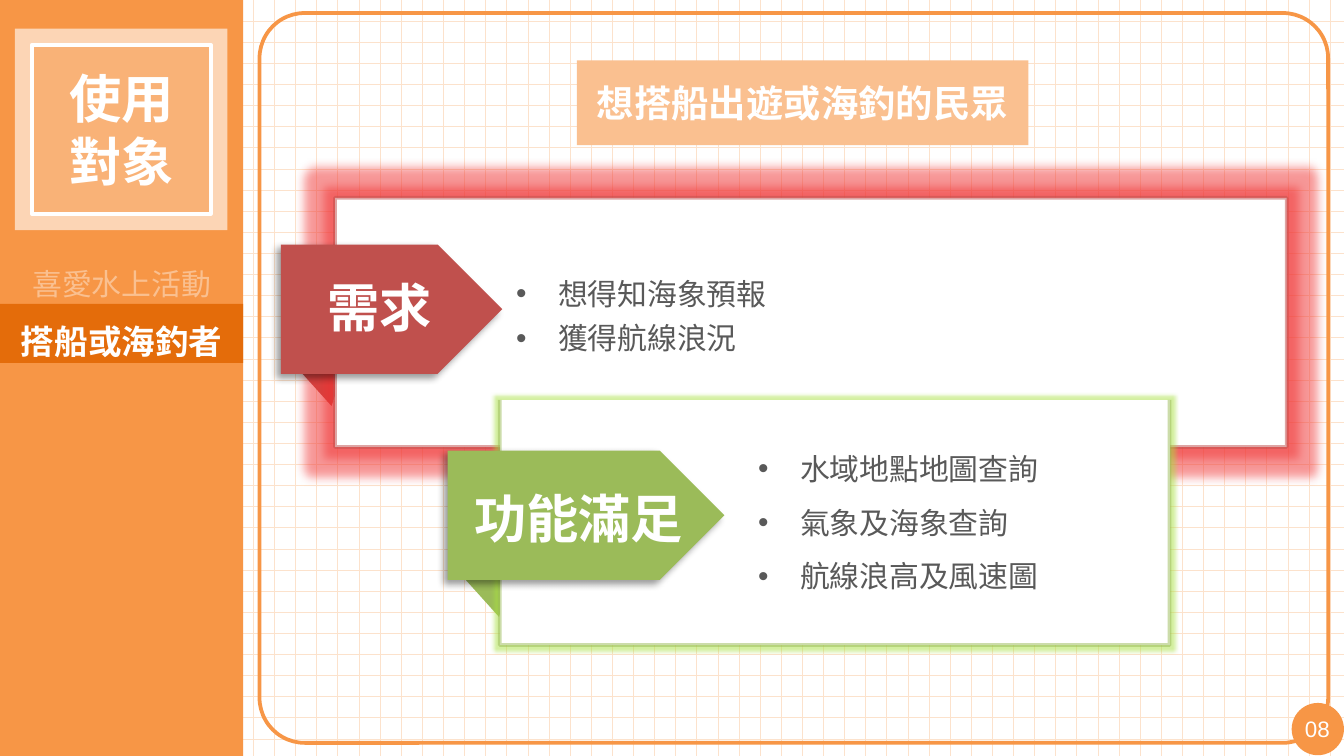
from pptx import Presentation
from pptx import util as u
from pptx.dml.color import RGBColor
from pptx.enum import dml, shapes, text
from pptx.oxml import parse_xml
from pptx.oxml.ns import qn, nsdecls
from lxml import etree

Pt = u.Pt
KIND = shapes.MSO_SHAPE
ALIGN = text.PP_ALIGN
CJK = "Noto Sans CJK SC"
COLORS = {
    "white": "FFFFFF", "grid": "FCE2CC", "orange": "F79646", "dark": "E46C0A",
    "peach": "FCD5B5", "soft": "F9B277", "light": "FAC090", "gray": "595959",
    "red": "C0504D", "green": "9BBB59", "red glow": "F03030", "green glow": "A8E040",
}


def add_block(kind, place, fill=None, line=None):
    block = page.shapes.add_shape(kind, *map(Pt, place))
    block.shadow.inherit = False
    if fill:
        block.fill.solid()
        block.fill.fore_color.rgb = RGBColor.from_string(COLORS[fill])
    else:
        block.fill.background()
    if line:
        block.line.color.rgb = RGBColor.from_string(COLORS[line])
        block.line.width = Pt(2)
    else:
        block.line.fill.background()
    return block


def write(box, lines, size, color="white", font="Arial", bold=True,
          align=ALIGN.CENTER, spacing=1.0):
    frame = box.text_frame
    frame.word_wrap = True
    frame.auto_size = text.MSO_AUTO_SIZE.NONE
    frame.text = "\n".join(lines)
    for para in frame.paragraphs:
        para.alignment = align
        para.line_spacing = spacing
        para.space_before = Pt(0)
        para.font.name = font
        para.font.size = Pt(size)
        para.font.bold = bold
        para.font.color.rgb = RGBColor.from_string(COLORS[color])
        defaults = para._p.pPr.find(qn("a:defRPr"))
        etree.SubElement(defaults, qn("a:ea"), typeface=CJK)


deck = Presentation()
deck.slide_width, deck.slide_height = Pt(720), Pt(405)
page = deck.slides.add_slide(deck.slide_layouts[3])
title, needs, features = page.placeholders
tree = page.shapes.element

backdrop = page.background.fill
backdrop.patterned()
backdrop.pattern = dml.MSO_PATTERN.DOTTED_GRID
backdrop.fore_color.rgb = RGBColor.from_string(COLORS["grid"])
backdrop.back_color.rgb = RGBColor.from_string(COLORS["white"])

add_block(KIND.RECTANGLE, (0, 0, 130.3, 405), "orange")
add_block(KIND.RECTANGLE, (8, 15.3, 113.8, 108), "peach")
badge = add_block(KIND.RECTANGLE, (17, 24, 96, 90.5), "soft", "white")
write(badge, ["使用", "對象"], 28)
frame_outline = add_block(KIND.ROUNDED_RECTANGLE, (139, 7, 572.5, 391), line="orange")
frame_outline.adjustments[0] = 0.062
add_block(KIND.OVAL, (692, 376.6, 28, 28), "orange")
add_block(KIND.RECTANGLE, (0, 162.8, 130.3, 31.7), "dark")

panels = [
    {"color": "red", "fold": (161.3, 175, 50.4, 29.5), "panel": (179.5, 106, 509.8, 133.5),
     "open_top": False, "glow": 10, "arrow": (150.5, 131, 118.6, 69.3),
     "heading": "需求", "label": (144, 150.5, 118.8, 36.7),
     "body": needs, "place": (269.3, 139, 439.2, 53.3), "spacing": Pt(24),
     "items": ["想得知海象預報", "獲得航線浪況"]},
    {"color": "green", "fold": (251.3, 288.7, 48.2, 29.5), "panel": (267.8, 214.3, 358.8, 131.3),
     "open_top": True, "glow": 4, "arrow": (239.8, 241.4, 148.3, 69.3),
     "heading": "功能滿足", "label": (239, 263.5, 141.8, 36.7),
     "body": features, "place": (398.9, 228.2, 414.7, 90.7), "spacing": 1.5,
     "items": ["水域地點地圖查詢", "氣象及海象查詢", "航線浪高及風速圖"]},
]
for panel in panels:
    color = panel["color"]
    fold = add_block(KIND.RIGHT_TRIANGLE, panel["fold"], color)
    fold.rotation = 318
    fold.element.spPr.xfrm.set("flipV", "1")

    if panel["open_top"]:
        left, top, width, height = panel["panel"]
        right, bottom = left + width, top + height
        builder = page.shapes.build_freeform(Pt(right), Pt(top))
        corners = [(right, bottom), (left, bottom), (left, top)]
        builder.add_line_segments([(Pt(x), Pt(y)) for x, y in corners], close=False)
        card = builder.convert_to_shape()
        card.shadow.inherit = False
        card.fill.solid()
        card.fill.fore_color.rgb = RGBColor.from_string(COLORS["white"])
        card.line.color.rgb = RGBColor.from_string(COLORS[color])
        card.line.width = Pt(2)
    else:
        card = add_block(KIND.RECTANGLE, panel["panel"], "white", color)
    stroke = card.element.spPr.find(qn("a:ln")).find(".//" + qn("a:srgbClr"))
    etree.SubElement(stroke, qn("a:alpha"), val="51000")
    card.element.spPr.find(qn("a:effectLst")).append(parse_xml(
        f'<a:glow {nsdecls("a")} rad="{Pt(panel["glow"])}">'
        f'<a:srgbClr val="{COLORS[color + " glow"]}"><a:alpha val="50000"/></a:srgbClr></a:glow>'))

    arrow = add_block(KIND.PENTAGON, panel["arrow"], color)
    arrow.element.spPr.find(qn("a:effectLst")).append(parse_xml(
        f'<a:outerShdw {nsdecls("a")} blurRad="{Pt(4)}" dist="{Pt(3)}" dir="8100000" '
        'algn="tr" rotWithShape="0">'
        '<a:srgbClr val="000000"><a:alpha val="40000"/></a:srgbClr></a:outerShdw>'))

    label = page.shapes.add_textbox(*map(Pt, panel["label"]))
    write(label, [panel["heading"]], 28, font=CJK if panel["open_top"] else "Arial", spacing=0.8)

    body = panel["body"]
    body.left, body.top, body.width, body.height = map(Pt, panel["place"])
    write(body, panel["items"], 16, "gray", CJK, False, ALIGN.LEFT, panel["spacing"])
    for para in body.text_frame.paragraphs:
        para._p.pPr.set("marL", str(Pt(22.5)))
        para._p.pPr.set("indent", str(-Pt(22.5)))
    tree.append(body.element)

title.left, title.top, title.width, title.height = map(Pt, (309, 32.4, 241.9, 45.4))
title.fill.solid()
title.fill.fore_color.rgb = RGBColor.from_string(COLORS["light"])
write(title, ["想搭船出遊或海釣的民眾"], 20)
tree.append(title.element)

menu = page.shapes.add_textbox(*map(Pt, (0, 129, 130.3, 64.8)))
write(menu, ["喜愛水上活動", "搭船或海釣者"], 16, "light", bold=False, spacing=1.5)
current = menu.text_frame.paragraphs[1].font
current.size = Pt(18)
current.bold = True
current.color.rgb = RGBColor.from_string(COLORS["white"])

number = page.shapes.add_textbox(*map(Pt, (692, 379.5, 31, 21.6)))
write(number, ["08"], 12, bold=False, align=ALIGN.LEFT)

deck.save("out.pptx")
